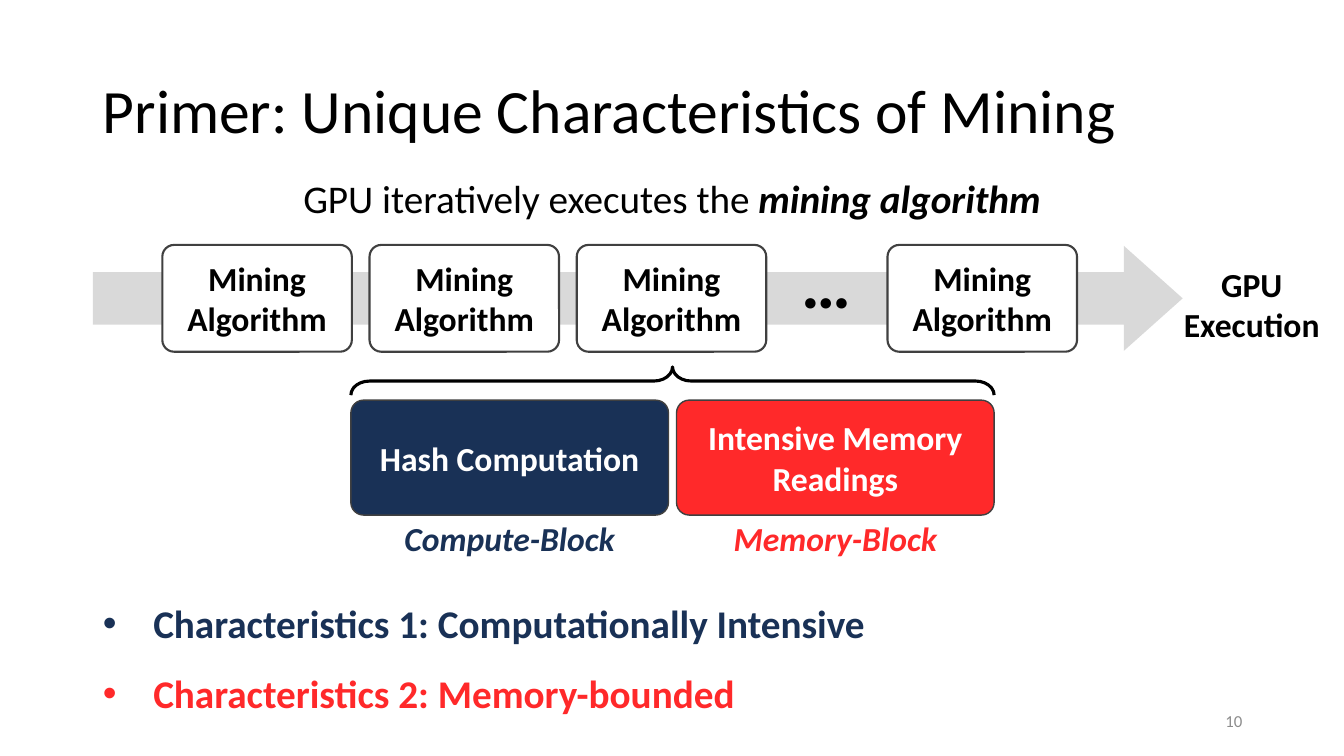
from lxml import etree
from pptx import Presentation
from pptx.dml.color import RGBColor
from pptx.enum.shapes import MSO_SHAPE
from pptx.enum.text import MSO_ANCHOR, MSO_AUTO_SIZE, PP_ALIGN
from pptx.oxml.ns import qn
from pptx.util import Inches, Pt

BLACK = RGBColor(0x00, 0x00, 0x00)
WHITE = RGBColor(0xFF, 0xFF, 0xFF)
NAVY = RGBColor(0x19, 0x31, 0x56)
RED = RGBColor(0xFF, 0x29, 0x2A)
OUTLINE = RGBColor(0x40, 0x40, 0x40)
ARROW_GREY = RGBColor(0xD9, 0xD9, 0xD9)
NUMBER_GREY = RGBColor(0x8C, 0x8C, 0x8C)
FONT = "Calibri"


def style(font, size, color, bold=False, italic=False):
    font.name = FONT
    font.size = Pt(size)
    font.color.rgb = color
    font.bold = bold
    font.italic = italic


def write(paragraph, text, size, color, bold=False, italic=False, align=PP_ALIGN.CENTER):
    paragraph.alignment = align
    run = paragraph.add_run()
    run.text = text
    style(run.font, size, color, bold, italic)


def place(shape, left, top, width, height):
    shape.left, shape.top = Inches(left), Inches(top)
    shape.width, shape.height = Inches(width), Inches(height)


def add_label(shapes, left, top, width, height, anchor=MSO_ANCHOR.TOP):
    """Add a wrapping text box and return its first paragraph."""
    label = shapes.add_textbox(Inches(left), Inches(top), Inches(width), Inches(height))
    label.text_frame.word_wrap = True
    label.text_frame.vertical_anchor = anchor
    return label.text_frame.paragraphs[0]


def add_preset(shapes, kind, left, top, width, height, adjustments, fill=None, line=None, line_width=1):
    shape = shapes.add_shape(kind, Inches(left), Inches(top), Inches(width), Inches(height))
    shape.shadow.inherit = False
    for index, value in enumerate(adjustments):
        shape.adjustments[index] = value
    if fill is None:
        shape.fill.background()
    else:
        shape.fill.solid()
        shape.fill.fore_color.rgb = fill
    if line is None:
        shape.line.fill.background()
    else:
        shape.line.color.rgb = line
        shape.line.width = Pt(line_width)
    return shape


def add_block(shapes, left, top, width, height, lines, fill, color, line_width):
    """Add a rounded block with one centred paragraph per line."""
    block = add_preset(shapes, MSO_SHAPE.ROUNDED_RECTANGLE, left, top, width, height,
                       [0.11], fill, OUTLINE, line_width)
    frame = block.text_frame
    frame.word_wrap = True
    frame.vertical_anchor = MSO_ANCHOR.MIDDLE
    for index, text in enumerate(lines):
        paragraph = frame.add_paragraph() if index else frame.paragraphs[0]
        write(paragraph, text, 24, color, bold=True)


def add_title(slide, left, top, width, height):
    title = slide.shapes.title
    place(title, left, top, width, height)
    title.text_frame.vertical_anchor = MSO_ANCHOR.MIDDLE
    paragraph = title.text_frame.paragraphs[0]
    paragraph.line_spacing = 0.9
    write(paragraph, "Primer: Unique Characteristics of Mining", 44, BLACK, align=PP_ALIGN.LEFT)


def add_subtitle(slide, left, top, width, height):
    paragraph = add_label(slide.shapes, left, top, width, height)
    write(paragraph, "GPU iteratively executes the ", 28, BLACK)
    write(paragraph, "mining algorithm", 28, BLACK, bold=True, italic=True)


def add_execution_flow(slide, left, top, width, height):
    """Draw the execution arrow with the repeated algorithm blocks on it."""
    shapes = slide.shapes.add_group_shape().shapes
    add_preset(shapes, MSO_SHAPE.RIGHT_ARROW, left, top + 0.01, width, height - 0.02,
               [0.5, 0.56], ARROW_GREY)
    first, step, block_width = left + 0.69, 2.055, 1.88
    for position in (0, 1, 2, 3.5):
        add_block(shapes, first + position * step, top, block_width, height,
                  ["Mining", "Algorithm"], WHITE, BLACK, 1.5)
    dots = add_label(shapes, left + 6.85, top - 0.12, 0.85, 0.94, MSO_ANCHOR.MIDDLE)
    write(dots, "…", 50, BLACK, bold=True)
    execution = add_label(shapes, left + width - 0.2, top + 0.14, 1.77, 0.91)
    write(execution, "GPU Execution", 24, BLACK, bold=True)


def add_breakdown(slide, left, top, width):
    """Draw the brace and the two blocks that make up one algorithm run."""
    shapes = slide.shapes
    brace_depth, brace_centre = 0.28, top - 0.19
    brace = add_preset(shapes, MSO_SHAPE.LEFT_BRACE,
                       left + (width - brace_depth) / 2, brace_centre - width / 2,
                       brace_depth, width, [0.66, 0.5], line=BLACK, line_width=2.25)
    brace.rotation = 90
    block_width, block_height = 3.15, 1.14
    blocks = (
        (left, "Hash Computation", "Compute-Block", NAVY),
        (left + width - block_width, "Intensive Memory Readings", "Memory-Block", RED),
    )
    for block_left, work, name, color in blocks:
        add_block(shapes, block_left, top, block_width, block_height, [work], color, WHITE, 1)
        caption = add_label(shapes, block_left + 0.15, top + 1.12, block_width - 0.3, 0.5)
        write(caption, name, 24, color, bold=True, italic=True)


def add_characteristics(slide, left, top, width, height):
    body = slide.placeholders[1]
    place(body, left, top, width, height)
    frame = body.text_frame
    frame.auto_size = MSO_AUTO_SIZE.NONE
    frame.vertical_anchor = MSO_ANCHOR.TOP
    items = (
        ("Characteristics 1: Computationally Intensive", NAVY),
        ("Characteristics 2: Memory-bounded", RED),
    )
    for index, (text, color) in enumerate(items):
        paragraph = frame.add_paragraph() if index else frame.paragraphs[0]
        properties = paragraph._p.get_or_add_pPr()
        properties.set("marL", str(Inches(0.5)))
        properties.set("indent", str(-Inches(0.5)))
        etree.SubElement(properties, qn("a:buFont")).set("typeface", "Arial")
        etree.SubElement(properties, qn("a:buChar")).set("char", "•")
        paragraph.line_spacing = 1.5
        paragraph.space_before = Pt(0)
        write(paragraph, text, 28, color, bold=True, align=PP_ALIGN.LEFT)


def add_slide_number(slide, left, top, width, height):
    """Add the page number as a live field."""
    paragraph = add_label(slide.shapes, left, top, width, height, MSO_ANCHOR.MIDDLE)
    write(paragraph, "10", 12, NUMBER_GREY, align=PP_ALIGN.RIGHT)
    field = paragraph.runs[0]._r
    field.tag = qn("a:fld")
    field.set("id", "{B6F15528-21DE-4FAA-801E-634DDDAF4B2B}")
    field.set("type", "slidenum")


def main():
    presentation = Presentation()
    presentation.slide_width, presentation.slide_height = Inches(13.33), Inches(7.5)
    # The only slide carries page number 10.
    presentation.element.set("firstSlideNum", "10")
    slide = presentation.slides.add_slide(presentation.slide_layouts[1])
    add_title(slide, 0.92, 0.4, 11.5, 1.45)
    add_subtitle(slide, 2.15, 1.68, 9.03, 0.57)
    add_characteristics(slide, 0.92, 5.66, 9.18, 1.44)
    add_breakdown(slide, 3.48, 3.97, 6.38)
    add_execution_flow(slide, 0.92, 2.43, 10.81, 1.06)
    add_slide_number(slide, 9.42, 6.95, 3, 0.4)
    presentation.save("out.pptx")


if __name__ == "__main__":
    main()
